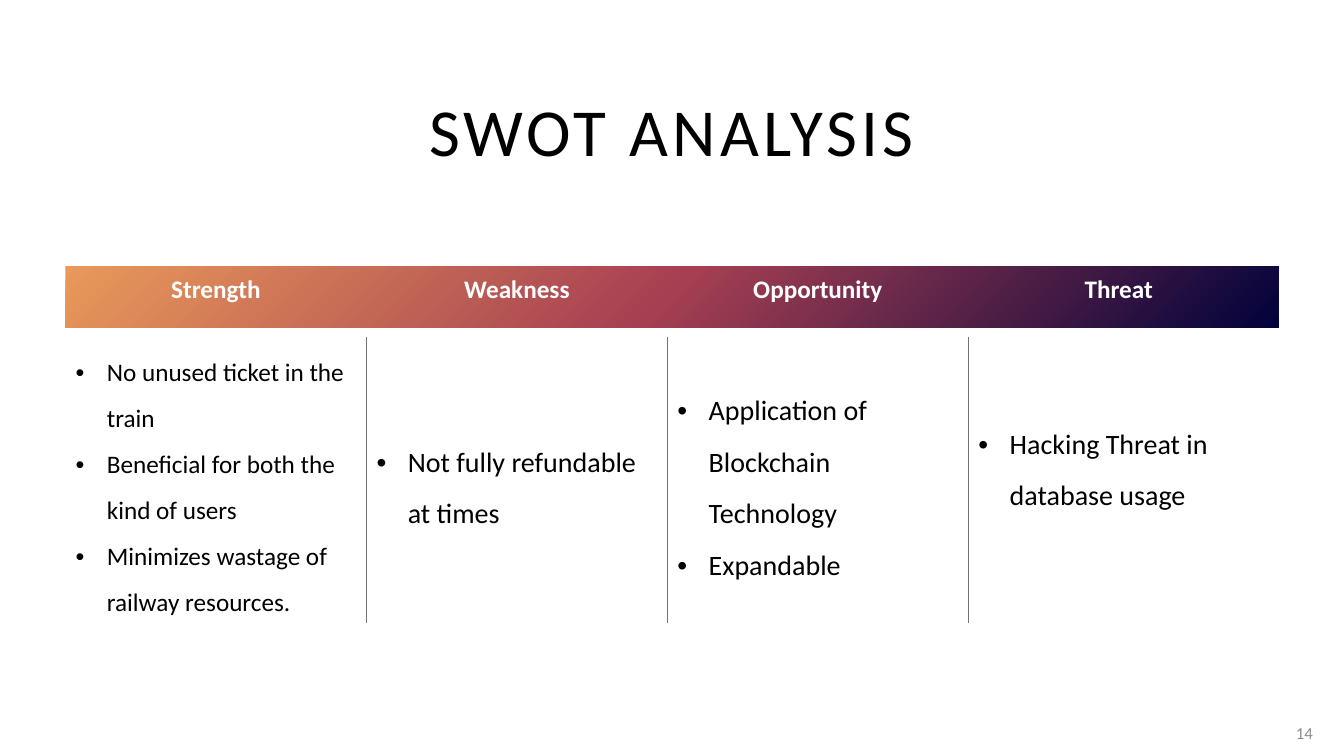
import pptx
import pptx.dml.color
import pptx.enum.shapes
import pptx.enum.text
import pptx.oxml
import pptx.oxml.ns
import pptx.util
from lxml import etree

Inches = pptx.util.Inches
Pt = pptx.util.Pt
RGBColor = pptx.dml.color.RGBColor
Align = pptx.enum.text.PP_ALIGN
MIDDLE = pptx.enum.text.MSO_ANCHOR.MIDDLE

BLACK = RGBColor(0x00, 0x00, 0x00)
WHITE = RGBColor(0xFF, 0xFF, 0xFF)
PAGE_GREY = RGBColor(0x8C, 0x8C, 0x8C)
RULE_GREY = RGBColor(0x76, 0x71, 0x71)
NAVY = RGBColor(0x01, 0x02, 0x3B)
CRIMSON = RGBColor(0xA5, 0x3F, 0x52)
ORANGE = RGBColor(0xE9, 0x99, 0x5A)

NO_STYLE_TABLE = "{2D5ABB26-0587-4C30-8999-92F81FD0307C}"
COLUMN_WIDTH = 2.985
ROW_HEIGHTS = (0.92, 2.84)
BULLET_INDENT = 0.31

# heading, text size, bottom margin, points
SWOT = [
    ("Strength", 18, 0.05, ["No unused ticket in the train",
                            "Beneficial for both the kind of users",
                            "Minimizes wastage of railway resources."]),
    ("Weakness", 20, 0.05, ["Not fully refundable at times"]),
    ("Opportunity", 20, 0.05, ["Application of Blockchain Technology", "Expandable"]),
    ("Threat", 20, 0.4, ["Hacking Threat in database usage"]),
]


def xml(markup):
    """Parse one element of the drawing namespace."""
    tag, rest = markup[1:].split(" ", 1)
    return pptx.oxml.parse_xml(f"<{tag} {pptx.oxml.ns.nsdecls('a')} {rest}")


class SwotSlide:
    font = "Calibri"

    def __init__(self, slide):
        self.shapes = slide.shapes

    def run(self, paragraph, words, size, color, bold=False):
        run = paragraph.add_run()
        run.text = words
        run.font.name = self.font
        run.font.size = Pt(size)
        run.font.bold = bold
        run.font.color.rgb = color
        return run

    def text(self, box, words, size, color, align):
        frame = self.shapes.add_textbox(*map(Inches, box)).text_frame
        frame.word_wrap = True
        frame.vertical_anchor = MIDDLE
        frame.paragraphs[0].alignment = align
        return self.run(frame.paragraphs[0], words, size, color)

    def gradient_band(self, box, colors):
        """Rectangle whose colours spread in circles from its lower right corner."""
        band = self.shapes.add_shape(
            pptx.enum.shapes.MSO_SHAPE.RECTANGLE, *map(Inches, box))
        band.shadow.inherit = False
        band.line.fill.background()
        band.fill.gradient()
        gradient = band._element.spPr.find(pptx.oxml.ns.qn("a:gradFill"))
        for child in list(gradient):
            gradient.remove(child)
        stops = etree.SubElement(gradient, pptx.oxml.ns.qn("a:gsLst"))
        for index, color in enumerate(colors):
            position = 100000 * index // (len(colors) - 1)
            stops.append(xml(f'<a:gs pos="{position}"><a:srgbClr val="{color}"/></a:gs>'))
        gradient.append(xml('<a:path path="circle">'
                            '<a:fillToRect l="100000" t="100000"/></a:path>'))

    def side_rules(self, cell, sides):
        for index, side in enumerate(sides):
            rule = xml(f'<a:ln{side} w="{Pt(0.25)}"><a:solidFill>'
                       f'<a:srgbClr val="{RULE_GREY}"/></a:solidFill></a:ln{side}>')
            cell._tc.get_or_add_tcPr().insert(index, rule)

    def bullet(self, paragraph, words, size):
        paragraph.line_spacing = 1.5
        properties = paragraph._p.get_or_add_pPr()
        properties.set("marL", str(Inches(BULLET_INDENT)))
        properties.set("indent", str(-Inches(BULLET_INDENT)))
        properties.append(xml('<a:buFont typeface="Arial"/>'))
        properties.append(xml('<a:buChar char="•"/>'))
        self.run(paragraph, words, size, BLACK)

    def swot_table(self, left, top, columns):
        frame = self.shapes.add_table(
            2, len(columns), Inches(left), Inches(top),
            Inches(COLUMN_WIDTH * len(columns)), Inches(sum(ROW_HEIGHTS)))
        table = frame.table
        table.first_row = table.horz_banding = False
        table._tbl.tblPr.find(pptx.oxml.ns.qn("a:tableStyleId")).text = NO_STYLE_TABLE
        for row, height in zip(table.rows, ROW_HEIGHTS):
            row.height = Inches(height)
        for cell in table.iter_cells():
            cell.fill.background()
            cell.vertical_anchor = MIDDLE
        last = len(columns) - 1
        for index, (heading, size, margin, points) in enumerate(columns):
            table.columns[index].width = Inches(COLUMN_WIDTH)
            title = table.cell(0, index).text_frame.paragraphs[0]
            title.alignment = Align.CENTER
            self.run(title, heading, 18, WHITE, bold=True)
            body = table.cell(1, index)
            body.margin_bottom = Inches(margin)
            self.side_rules(body, "L" * (index > 0) + "R" * (index < last))
            frame = body.text_frame
            for number, point in enumerate(points):
                paragraph = frame.add_paragraph() if number else frame.paragraphs[0]
                self.bullet(paragraph, point, size)


def main():
    deck = pptx.Presentation()
    deck.slide_width = Inches(13.33)
    deck.slide_height = Inches(7.5)
    page = SwotSlide(deck.slides.add_slide(deck.slide_layouts[6]))

    page.gradient_band((0.65, 2.64, 12.03, 0.61), (NAVY, CRIMSON, ORANGE))
    title = page.text((0.65, 0.84, 12.03, 0.9), "SWOT ANALYSIS", 48, BLACK, Align.CENTER)
    title.font._element.set("spc", "300")
    page.swot_table(0.65, 2.42, SWOT)
    page.text((12.63, 7.07, 0.49, 0.4), "14", 12, PAGE_GREY, Align.RIGHT)

    deck.save("out.pptx")


if __name__ == "__main__":
    main()
